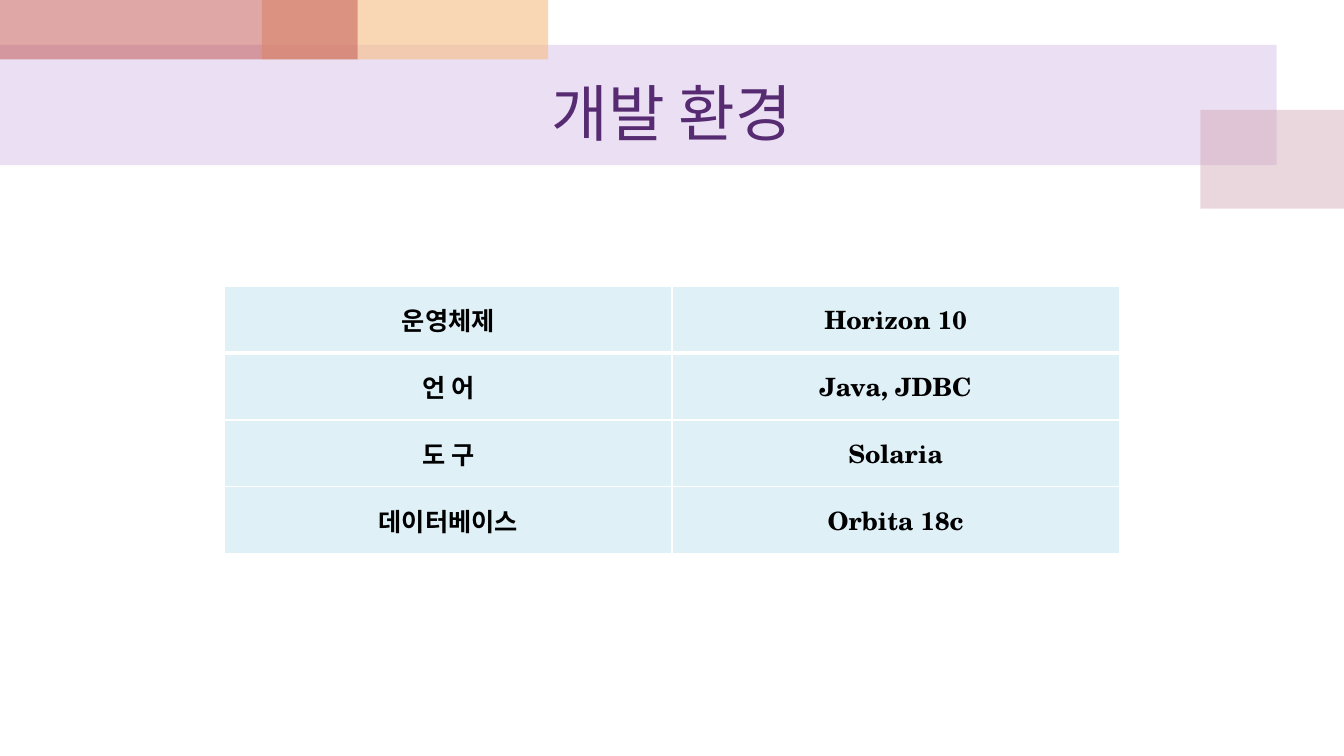
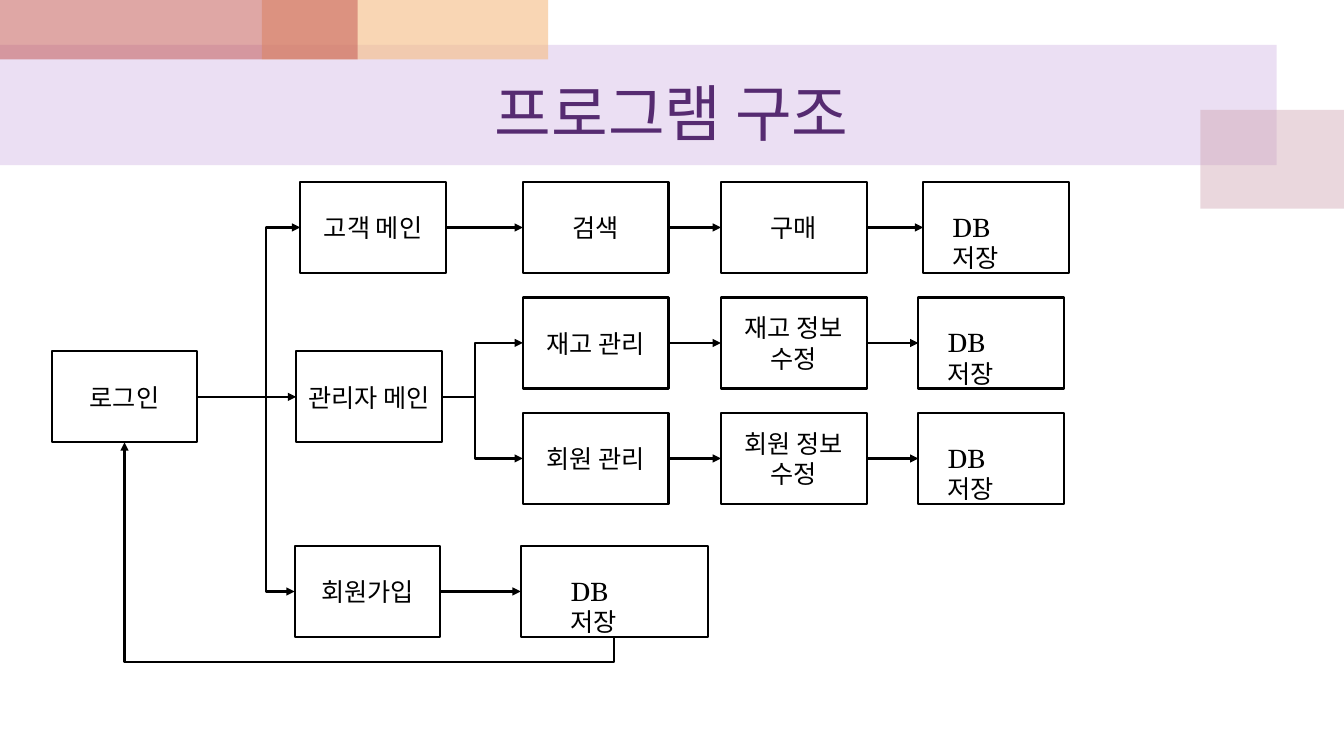
from lxml import etree
from pptx import Presentation
from pptx import util as u
from pptx.dml.color import RGBColor
from pptx.enum import shapes, text
from pptx.oxml.ns import qn

BLACK, WHITE = "000000", "FFFFFF"
BANDS = [
    (0, 32, 912, 86, "BE97D8", 30),
    (857.5, 78.5, 102.5, 70.5, "CB9DAA", 40),
    (187, 0, 204.5, 42.5, "F5BC82", 60),
    (0, 0, 255.5, 42.5, "C0504D", 50),
]
TOP, LEFT, BOTTOM, RIGHT = range(4)


def color(value):
    return RGBColor.from_string(value)


class Deck:
    """Holds the shared style and the current slide."""

    font = "TeX Gyre Schola"
    title_color = "562B71"
    cell_color = "DFF0F7"
    box_width, box_height = 104, 65
    note_width = 62

    def __init__(self):
        self.presentation = Presentation()
        self.presentation.slide_width = u.Pt(960)
        self.presentation.slide_height = u.Pt(540)
        self.slide = None

    def add_slide(self, title):
        layout = self.presentation.slide_layouts[6]
        self.slide = self.presentation.slides.add_slide(layout)
        for band in BANDS:
            self.band(*band)
        shape = self.slide.shapes.add_textbox(*map(u.Pt, (48, 42.5, 864, 75.5)))
        shape.text_frame.word_wrap = True
        shape.text_frame.vertical_anchor = text.MSO_ANCHOR.MIDDLE
        self.label(shape.text_frame, title, 44, self.title_color)

    def label(self, frame, words, size=18, ink=BLACK, bold=False, align=text.PP_ALIGN.CENTER):
        frame.text = words
        for paragraph in frame.paragraphs:
            paragraph.alignment = align
            for run in paragraph.runs:
                run.font.name = self.font
                run.font.size = u.Pt(size)
                run.font.bold = bold
                run.font.color.rgb = color(ink)

    def rectangle(self, left, top, width, height):
        shape = self.slide.shapes.add_shape(
            shapes.MSO_SHAPE.RECTANGLE, *map(u.Pt, (left, top, width, height)))
        shape.shadow.inherit = False
        return shape

    def band(self, left, top, width, height, fill, opacity):
        shape = self.rectangle(left, top, width, height)
        shape.line.fill.background()
        shape.fill.solid()
        shape.fill.fore_color.rgb = color(fill)
        tint = shape._element.spPr.find(".//" + qn("a:srgbClr"))
        etree.SubElement(tint, qn("a:alpha"), val=str(opacity * 1000))

    def box(self, left, top, words):
        shape = self.rectangle(left, top, self.box_width, self.box_height)
        self.outline(shape)
        frame = shape.text_frame
        frame.word_wrap = True
        frame.vertical_anchor = text.MSO_ANCHOR.MIDDLE
        frame.margin_left = frame.margin_right = frame.margin_top = frame.margin_bottom = 0
        self.label(frame, words)
        return shape

    def storage(self, left, top, width=box_width):
        shape = self.rectangle(left, top, width, self.box_height)
        self.outline(shape)
        frame = shape.text_frame
        frame.word_wrap = True
        frame.vertical_anchor = text.MSO_ANCHOR.TOP
        frame.margin_left = frame.margin_right = u.Pt((width - self.note_width) / 2)
        frame.margin_top, frame.margin_bottom = u.Pt(21.5), 0
        self.label(frame, "DB 저장", align=text.PP_ALIGN.LEFT)
        return shape

    def outline(self, shape):
        shape.fill.background()
        shape.line.color.rgb = color(BLACK)
        shape.line.width = u.Pt(1.5)

    def arrow(self, begin, end, begin_side=RIGHT, end_side=LEFT, trunk=None):
        kind = shapes.MSO_CONNECTOR.STRAIGHT if trunk is None else shapes.MSO_CONNECTOR.ELBOW
        connector = self.slide.shapes.add_connector(kind, 0, 0, 0, 0)
        connector.begin_connect(begin, begin_side)
        connector.end_connect(end, end_side)
        connector.line.color.rgb = color(BLACK)
        connector.line.width = u.Pt(1.75)
        properties = connector._element.spPr
        etree.SubElement(properties.find(qn("a:ln")), qn("a:tailEnd"), type="triangle")
        etree.SubElement(properties, qn("a:effectLst"))
        if trunk is not None:
            self.bend(connector, u.Pt(trunk), begin_side == BOTTOM)

    def bend(self, connector, trunk, vertical):
        start, stop = connector.begin_x, connector.end_x
        if vertical:
            start, stop = connector.begin_y, connector.end_y
            self.turn(connector)
        guides = connector._element.spPr.find(qn("a:prstGeom")).find(qn("a:avLst"))
        share = round((trunk - start) / (stop - start) * 100000)
        etree.SubElement(guides, qn("a:gd"), name="adj1", fmla=f"val {share}")

    def turn(self, connector):
        width, height = connector.width, connector.height
        shift = (width - height) // 2
        connector.left, connector.top = connector.left + shift, connector.top - shift
        connector.width, connector.height = height, width
        transform = connector._element.spPr.find(qn("a:xfrm"))
        transform.set("rot", "5400000")
        transform.set("flipH", "1")
        transform.set("flipV", "0")

    def table(self, left, top, column_width, row_height, rows):
        columns = len(rows[0])
        frame = self.slide.shapes.add_table(
            len(rows), columns, u.Pt(left), u.Pt(top),
            u.Pt(column_width * columns), u.Pt(row_height * len(rows)))
        for row_index, row in enumerate(rows):
            for column_index, words in enumerate(row):
                cell = frame.table.cell(row_index, column_index)
                cell.vertical_anchor = text.MSO_ANCHOR.MIDDLE
                self.label(cell.text_frame, words, bold=True)
                self.borders(cell, 3 if row_index == 1 else 1, 3 if row_index == 0 else 1)
                cell.fill.solid()
                cell.fill.fore_color.rgb = color(self.cell_color)

    def borders(self, cell, above, below):
        properties = cell._tc.get_or_add_tcPr()
        for side, width in (("L", 1), ("R", 1), ("T", above), ("B", below)):
            line = etree.SubElement(properties, qn("a:ln" + side), w=str(int(u.Pt(width))))
            fill = etree.SubElement(line, qn("a:solidFill"))
            etree.SubElement(fill, qn("a:srgbClr"), val=WHITE)


def environment_slide(deck):
    deck.add_slide("개발 환경")
    deck.table(160.5, 204.5, 319.5, 47.75, [
        ("운영체제", "Horizon 10"),
        ("언 어", "Java, JDBC"),
        ("도 구", "Solaria"),
        ("데이터베이스", "Orbita 18c"),
    ])


def structure_slide(deck):
    deck.add_slide("프로그램 구조")
    login = deck.box(37, 251, "로그인")
    customer = deck.box(214.5, 130, "고객 메인")
    manager = deck.box(211.5, 251, "관리자 메인")
    signup = deck.box(210.5, 390, "회원가입")
    signup_storage = deck.storage(372, 390, 133.5)

    search = deck.box(373.5, 130, "검색")
    stock = deck.box(373.5, 212.5, "재고 관리")
    members = deck.box(373.5, 295, "회원 관리")
    chains = [
        (search, "구매", 130, 659.5),
        (stock, "재고 정보\n수정", 212.5, 656),
        (members, "회원 정보\n수정", 295, 656),
    ]
    for first, words, top, storage_left in chains:
        second = deck.box(515, top, words)
        deck.arrow(first, second)
        deck.arrow(second, deck.storage(storage_left, top))

    for begin, end in ((login, manager), (customer, search), (signup, signup_storage)):
        deck.arrow(begin, end)
    for begin, ends, trunk in ((login, (customer, signup), 190), (manager, (stock, members), 339.5)):
        for end in ends:
            deck.arrow(begin, end, trunk=trunk)
    deck.arrow(signup_storage, login, BOTTOM, BOTTOM, trunk=473)


def main():
    deck = Deck()
    environment_slide(deck)
    structure_slide(deck)
    deck.presentation.save("out.pptx")


if __name__ == "__main__":
    main()
